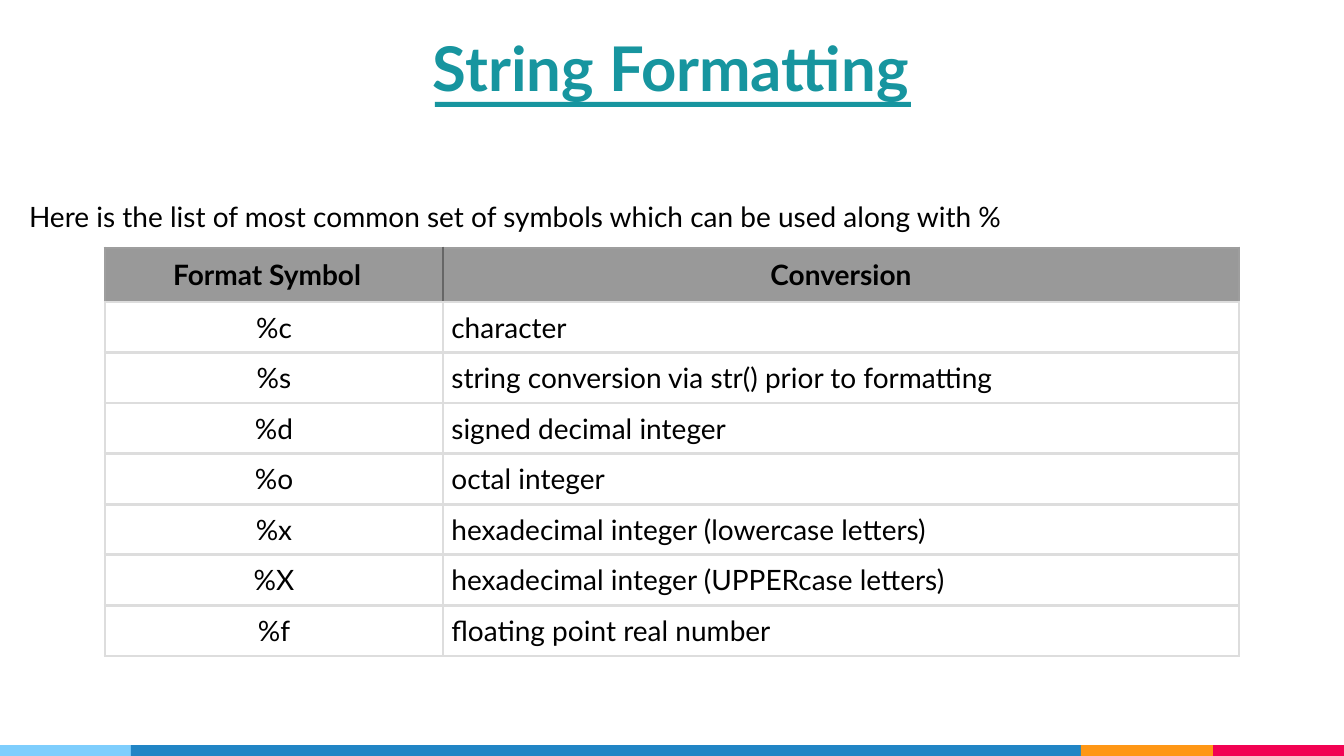
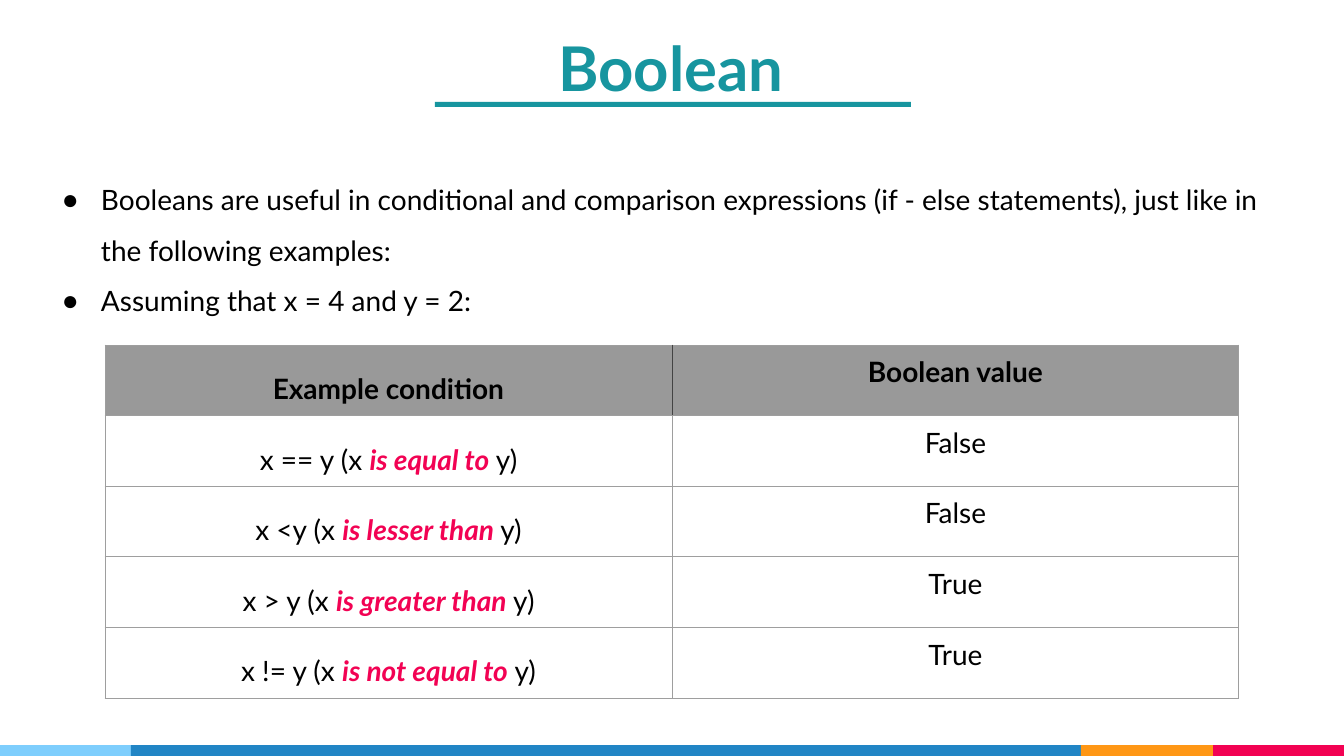
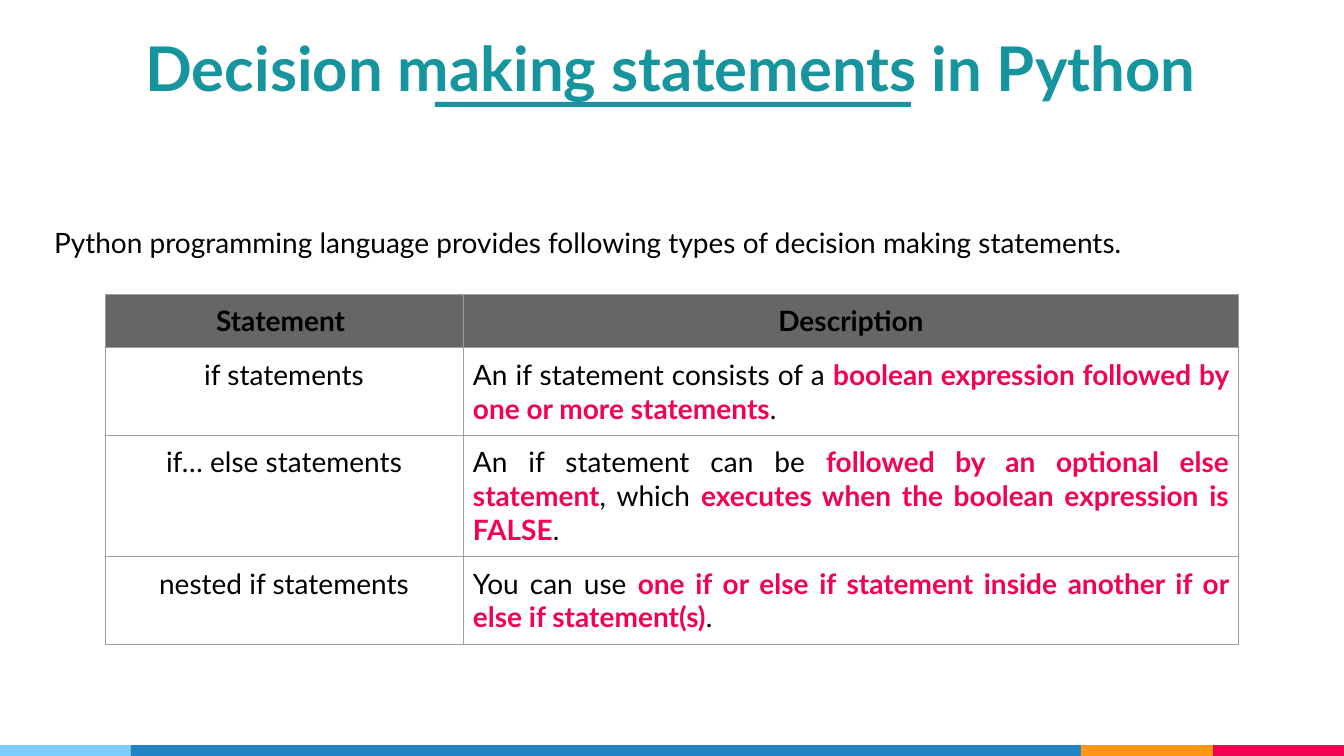
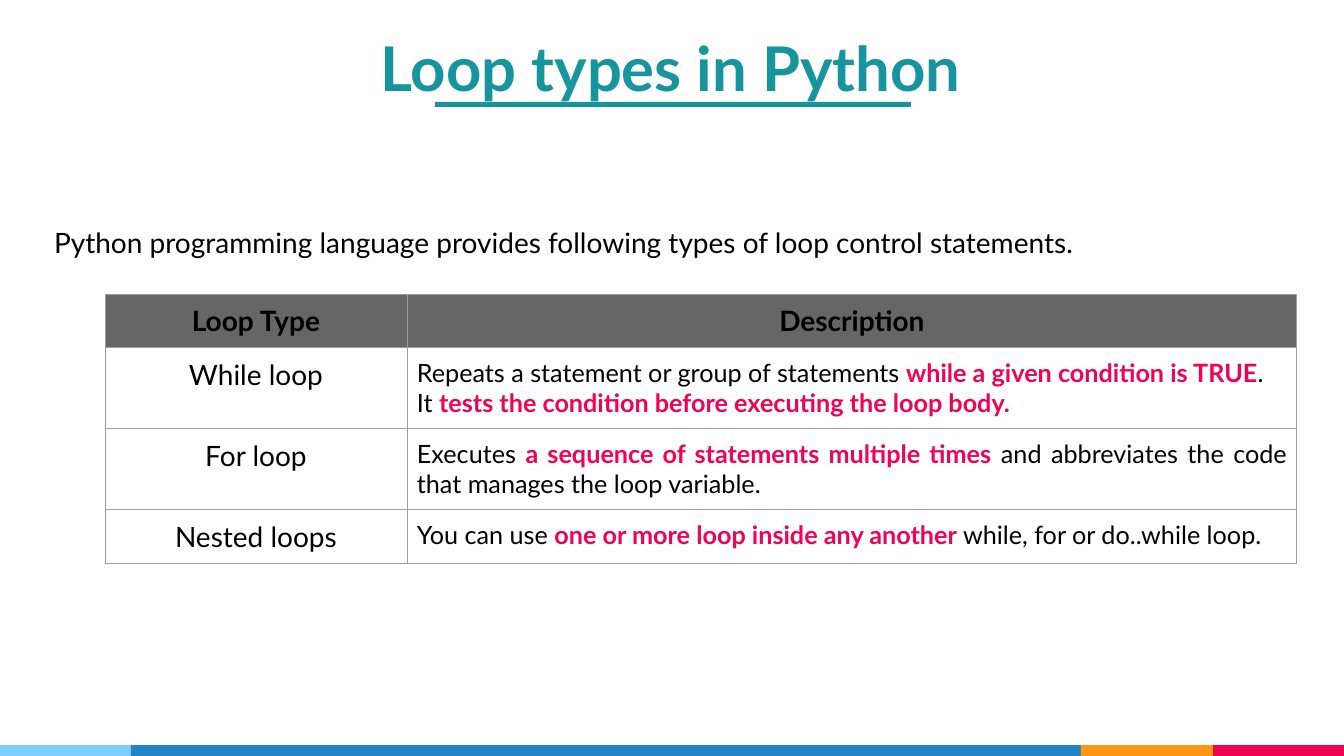
from lxml import etree
from pptx import Presentation
from pptx.dml.color import RGBColor
from pptx.enum.shapes import MSO_SHAPE
from pptx.enum.text import MSO_ANCHOR, MSO_AUTO_SIZE, PP_ALIGN
from pptx.oxml.ns import qn
from pptx.util import Pt

RECTANGLE = MSO_SHAPE.RECTANGLE
LEFT, CENTER, JUSTIFY = PP_ALIGN.LEFT, PP_ALIGN.CENTER, PP_ALIGN.JUSTIFY
TOP, BOTTOM = MSO_ANCHOR.TOP, MSO_ANCHOR.BOTTOM
FIXED_SIZE = MSO_AUTO_SIZE.NONE

BLACK = RGBColor(0x00, 0x00, 0x00)
TEAL = RGBColor(0x17, 0x95, 0x9F)
SKY = RGBColor(0x7E, 0xCE, 0xFD)
BLUE = RGBColor(0x21, 0x85, 0xC5)
ORANGE = RGBColor(0xFF, 0x97, 0x15)
CRIMSON = RGBColor(0xF2, 0x02, 0x53)
PALE_GRAY = RGBColor(0xDD, 0xDD, 0xDD)
LINE_GRAY = RGBColor(0x9E, 0x9E, 0x9E)
HEADER_GRAY = RGBColor(0x99, 0x99, 0x99)
DARK_GRAY = RGBColor(0x66, 0x66, 0x66)
DEEP_GRAY = RGBColor(0x43, 0x43, 0x43)

FONT = "Lato"
EMU_PER_PX = 914400 / 100.8
SLIDE_WIDTH, SLIDE_HEIGHT = 1344, 756
TITLE_BOX = (94, 26, 1154, 80)
TITLE_RULE = (435, 102, 476, 5)
BAND_TOP = 745
BANDS = [(131, SKY), (950, BLUE), (132, ORANGE), (131, CRIMSON)]
TABLE_LEFT = 105

# Content: text between asterisks is emphasised
SLIDES = [
    {
        "title": "String Formatting",
        "body": ["Here is the list of most common set of symbols which can be used along with %"],
        "body_box": (19, 178, 1260, 46),
        "table": {
            "top": 248, "columns": [338, 796], "heights": [54] + [50] * 7,
            "cell_margin": 8.4, "align": LEFT,
            "header_fill": HEADER_GRAY, "header_divider": DARK_GRAY,
            "line": PALE_GRAY, "line_width": 2.25,
            "rows": [
                ("Format Symbol\t", "Conversion"),
                ("%c", "character"),
                ("%s", "string conversion via str() prior to formatting"),
                ("%d", "signed decimal integer"),
                ("%o", "octal integer"),
                ("%x", "hexadecimal integer (lowercase letters)"),
                ("%X", "hexadecimal integer (UPPERcase letters)"),
                ("%f", "floating point real number"),
            ],
        },
    },
    {
        "title": "Boolean",
        "body": [
            "Booleans are useful in conditional and comparison expressions "
            "(if - else statements), just like in the following examples:",
            "Assuming that x = 4 and y = 2:",
        ],
        "body_box": (41, 161, 1260, 161),
        "bullets": True,
        "table": {
            "top": 345, "columns": [567, 567], "heights": [70] * 5,
            "align": CENTER, "first_spacing": 1.5, "italic": True,
            "header_fill": HEADER_GRAY, "header_divider": DEEP_GRAY,
            "rows": [
                ("Example condition", "Boolean value"),
                ("x == y (x *is equal to* y)", "False"),
                ("x <y (x *is lesser than *y)", "False"),
                ("x > y (x *is greater than* y)", "True"),
                ("x != y (x *is not equal to* y)", "True"),
            ],
        },
    },
    {
        "title": "Decision making statements in Python",
        "body": ["Python programming language provides following types of decision making statements."],
        "body_box": (44, 204, 1096, 57),
        "table": {
            "top": 294, "columns": [358, 776], "heights": [53, 87, 121, 87],
            "rows": [
                ("Statement ", "Description"),
                ("if statements",
                 "An if statement consists of a *boolean expression followed by "
                 "one or more statements*."),
                ("if… else statements",
                 "An if statement can be *followed by an optional else statement*, "
                 "which *executes when the boolean expression is FALSE*."),
                ("nested if statements",
                 "You can use *one if or else if statement inside another if or "
                 "else if statement(s)*."),
            ],
        },
    },
    {
        "title": "Loop types in Python",
        "body": ["Python programming language provides following types of loop control statements."],
        "body_box": (44, 204, 1096, 57),
        "table": {
            "top": 294, "columns": [302, 890], "heights": [53, 81, 81, 54],
            "description_size": 18,
            "rows": [
                ("Loop Type", "Description"),
                ("While loop",
                 "Repeats a statement or group of statements *while a given condition is TRUE*.\n"
                 "It *tests the condition before executing the loop body.*"),
                ("For loop",
                 "Executes *a sequence of statements multiple times* and abbreviates "
                 "the code that manages the loop variable."),
                ("Nested loops",
                 "You can use *one or more loop inside any another* while, for or do..while loop."),
            ],
        },
    },
]

TABLE_DEFAULTS = {
    "cell_margin": 10, "align": JUSTIFY, "first_spacing": 1.0, "italic": False,
    "description_size": 20, "header_fill": DARK_GRAY, "header_divider": LINE_GRAY,
    "line": LINE_GRAY, "line_width": 0.75,
}


def px(length):
    return round(length * EMU_PER_PX)


def apply_format(target, values):
    for name, value in values.items():
        setattr(target, name, value)


def place(shape, box):
    apply_format(shape, dict(zip(("left", "top", "width", "height"), map(px, box))))


def margins(horizontal, vertical):
    return {"margin_left": px(horizontal), "margin_right": px(horizontal),
            "margin_top": px(vertical), "margin_bottom": px(vertical)}


def write_runs(paragraph, text, size, color=BLACK, bold=False, italic=False):
    for index, part in enumerate(text.split("*")):
        if part:
            emphasis = index % 2 == 1
            run = paragraph.add_run()
            run.text = part
            apply_format(run.font, {"name": FONT, "size": Pt(size),
                                    "bold": bold or emphasis, "italic": italic and emphasis})
            run.font.color.rgb = CRIMSON if emphasis else color


def write_paragraphs(frame, texts, **run_format):
    for index, text in enumerate(texts):
        paragraph = frame.paragraphs[0] if index == 0 else frame.add_paragraph()
        write_runs(paragraph, text, **run_format)


def set_bullet(paragraph, bulleted):
    properties = paragraph._p.get_or_add_pPr()
    properties.set("marL", str(px(50) if bulleted else 0))
    properties.set("indent", str(px(-39) if bulleted else 0))
    if bulleted:
        color = etree.SubElement(properties, qn("a:buClr"))
        etree.SubElement(color, qn("a:srgbClr"), val=str(BLACK))
        etree.SubElement(properties, qn("a:buChar"), char="●")
    else:
        etree.SubElement(properties, qn("a:buNone"))


def set_borders(cell, colors, width):
    properties = cell._tc.get_or_add_tcPr()
    for index, (side, color) in enumerate(zip("LRTB", colors)):
        line = etree.Element(qn(f"a:ln{side}"), w=str(Pt(width)))
        fill = etree.SubElement(line, qn("a:solidFill"))
        etree.SubElement(fill, qn("a:srgbClr"), val=str(color))
        properties.insert(index, line)


def decorate_layout(layout, slide):
    """Draw the title rule and footer bands, then move them to the layout."""
    parts = [(TITLE_RULE, TEAL)]
    left = 0
    for width, color in BANDS:
        parts.append(((left, BAND_TOP, width, SLIDE_HEIGHT - BAND_TOP), color))
        left += width
    for box, color in parts:
        shape = slide.shapes.add_shape(RECTANGLE, *map(px, box))
        shape.shadow.inherit = False
        shape.fill.solid()
        shape.fill.fore_color.rgb = color
        shape.line.fill.background()
        layout.shapes.element.append(shape.element)


def add_title(slide, text):
    title = slide.shapes.title
    place(title, TITLE_BOX)
    frame = title.text_frame
    apply_format(frame, {"word_wrap": True, "auto_size": FIXED_SIZE,
                         "vertical_anchor": BOTTOM, **margins(5, 2)})
    write_runs(frame.paragraphs[0], text, size=44, color=TEAL, bold=True)
    frame.paragraphs[0].alignment = CENTER


def add_body(slide, texts, box, bulleted):
    body = slide.placeholders[1]
    place(body, box)
    frame = body.text_frame
    apply_format(frame, {"word_wrap": True, "auto_size": FIXED_SIZE,
                         "vertical_anchor": TOP, **margins(10, 5)})
    write_paragraphs(frame, texts, size=20)
    for paragraph in frame.paragraphs:
        set_bullet(paragraph, bulleted)
        apply_format(paragraph, {"line_spacing": 1.5, "space_before": Pt(0)})


def add_table(slide, content):
    content = {**TABLE_DEFAULTS, **content}
    rows, columns, heights = content["rows"], content["columns"], content["heights"]
    box = (TABLE_LEFT, content["top"], sum(columns), sum(heights))
    table = slide.shapes.add_table(len(rows), len(columns), *map(px, box)).table
    apply_format(table, {"first_row": False, "horz_banding": False})
    for column, width in zip(table.columns, columns):
        column.width = px(width)
    for row, height in zip(table.rows, heights):
        row.height = px(height)

    for row_index, texts in enumerate(rows):
        header = row_index == 0
        margin = 10 if header else content["cell_margin"]
        for column_index, text in enumerate(texts):
            first = column_index == 0
            cell = table.cell(row_index, column_index)
            apply_format(cell, {"vertical_anchor": TOP, **margins(margin, margin)})
            write_paragraphs(cell.text_frame, text.split("\n"),
                             size=20 if header or first else content["description_size"],
                             bold=header, italic=content["italic"])
            for paragraph in cell.text_frame.paragraphs:
                apply_format(paragraph, {
                    "alignment": CENTER if header or first else content["align"],
                    "line_spacing": content["first_spacing"] if first else 1.0})
            line = content["line"]
            borders = [line] * 4
            if header:
                cell.fill.solid()
                cell.fill.fore_color.rgb = content["header_fill"]
                sides = [LINE_GRAY, content["header_divider"]]
                borders = (sides if first else sides[::-1]) + [LINE_GRAY, line]
            else:
                cell.fill.background()
            set_borders(cell, borders, content["line_width"])


def main():
    presentation = Presentation()
    apply_format(presentation, {"slide_width": px(SLIDE_WIDTH),
                                "slide_height": px(SLIDE_HEIGHT)})
    layout = presentation.slide_layouts[1]
    for index, content in enumerate(SLIDES):
        slide = presentation.slides.add_slide(layout)
        if index == 0:
            decorate_layout(layout, slide)
        add_title(slide, content["title"])
        add_body(slide, content["body"], content["body_box"], content.get("bullets", False))
        add_table(slide, content["table"])
    presentation.save("out.pptx")


if __name__ == "__main__":
    main()
